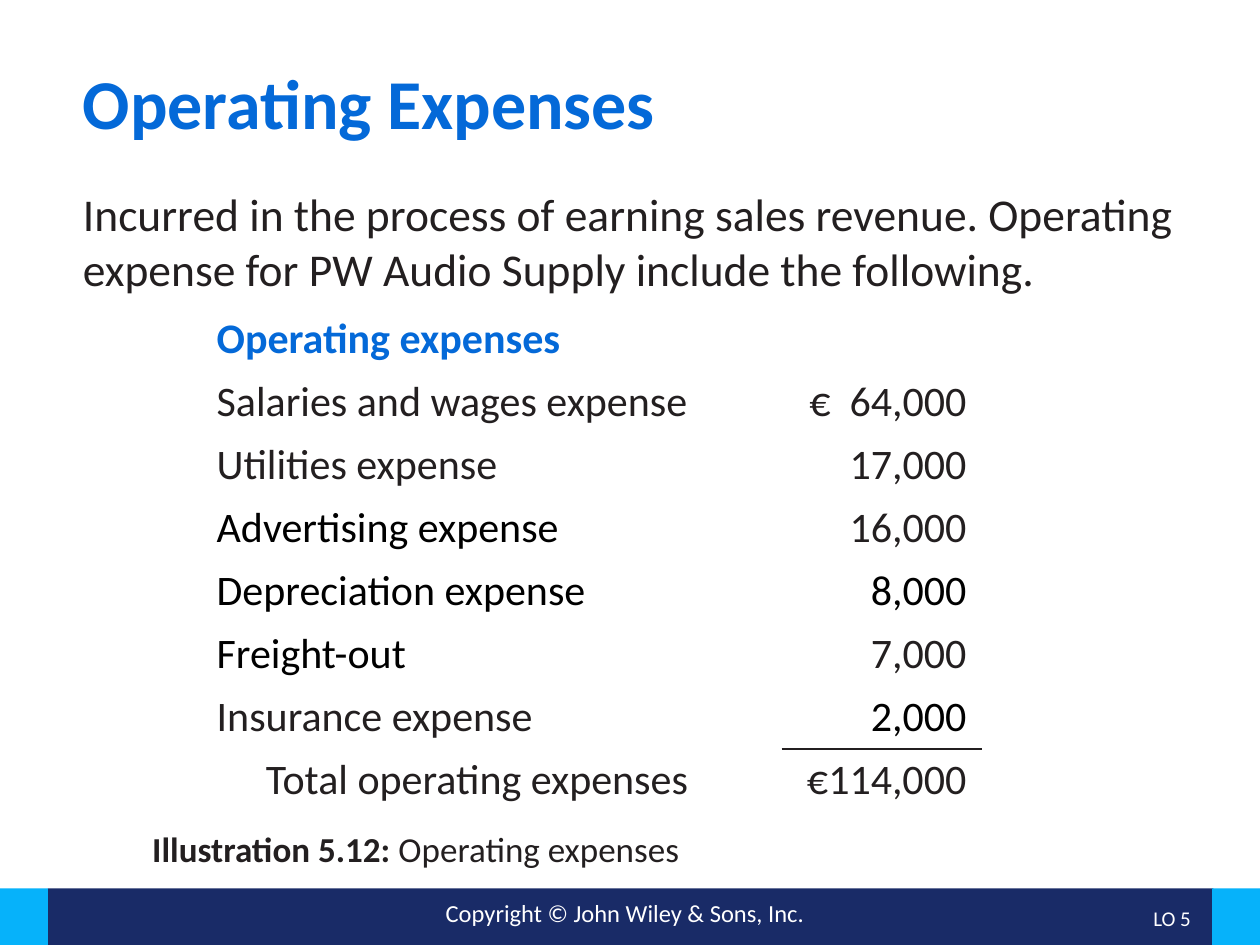
from lxml import etree
from pptx import Presentation
from pptx.dml.color import RGBColor
from pptx.enum.shapes import MSO_SHAPE
from pptx.enum.text import MSO_ANCHOR, PP_ALIGN
from pptx.oxml import parse_xml
from pptx.oxml.ns import nsdecls
from pptx.util import Inches, Pt

BLUE, NAVY, CYAN = "0469D8", "192B67", "06B2FA"
INK, BLACK, WHITE = "231F20", "000000", "FFFFFF"


def color(value):
    return RGBColor.from_string(value)


def add_run(paragraph, text, size, hex_color, bold=False):
    run = paragraph.add_run()
    run.text = text
    font_format = {"name": "Calibri", "size": Pt(size), "bold": bold}
    for name, value in font_format.items():
        setattr(run.font, name, value)
    run.font.color.rgb = color(hex_color)
    return run


presentation = Presentation()
presentation.slide_width = Inches(10)
presentation.slide_height = Inches(7.5)
slide = presentation.slides.add_slide(presentation.slide_layouts[6])

# Footer bar with a bright block at each end
for left, width, fill in [(0.38, 9.25, NAVY), (0, 0.38, CYAN), (9.62, 0.38, CYAN)]:
    shape = slide.shapes.add_shape(
        MSO_SHAPE.RECTANGLE, Inches(left), Inches(7.05), Inches(width), Inches(0.5))
    shape.shadow.inherit = False
    shape.fill.solid()
    shape.fill.fore_color.rgb = color(fill)
    shape.line.fill.background()

# Text boxes: position, alignment, anchor, line spacing, runs
LEFT, CENTER, RIGHT = PP_ALIGN.LEFT, PP_ALIGN.CENTER, PP_ALIGN.RIGHT
TOP, MIDDLE = MSO_ANCHOR.TOP, MSO_ANCHOR.MIDDLE
text_boxes = [
    ((2.5, 7.08, 4.92, 0.34), CENTER, TOP, 1.0,
     [("Copyright © John Wiley & Sons, Inc.", 14, WHITE)]),
    ((0.56, 0.5, 8.88, 0.93), LEFT, TOP, 0.9,
     [("Operating Expenses", 40, BLUE, True)]),
    ((0.56, 1.43, 8.88, 1.04), LEFT, TOP, 1.0,
     [("Incurred in the process of earning sales revenue. Operating "
       "expense for PW Audio Supply include the following.", 26, INK)]),
    ((1.11, 6.56, 4.52, 0.43), LEFT, TOP, 0.9,
     [("Illustration 5.12: ", 20, INK, True), ("Operating expenses", 20, INK)]),
    ((8.73, 7.1, 0.82, 0.4), RIGHT, MIDDLE, 0.9,
     [("LO 5", 12, WHITE)]),
]
for position, alignment, anchor, spacing, runs in text_boxes:
    text_frame = slide.shapes.add_textbox(*map(Inches, position)).text_frame
    text_frame.word_wrap = True
    text_frame.vertical_anchor = anchor
    paragraph = text_frame.paragraphs[0]
    paragraph.alignment = alignment
    paragraph.line_spacing = spacing
    for run in runs:
        add_run(paragraph, *run)

# Expense table: label, label color, amount, amount color
rows = [
    ("Operating expenses", BLUE, "", INK),
    ("Salaries and wages expense", INK, "€ 64,000", INK),
    ("Utilities expense", INK, "17,000", INK),
    ("Advertising expense", BLACK, "16,000", INK),
    ("Depreciation expense", BLACK, "8,000", BLACK),
    ("Freight-out", BLACK, "7,000", INK),
    ("Insurance expense", INK, "2,000", BLACK),
    ("Total operating expenses", INK, "€114,000", INK),
]
table = slide.shapes.add_table(
    len(rows), 2, Inches(1.6), Inches(2.44), Inches(6.19), Inches(4)).table
table.first_row = False
table.horz_banding = False
table.columns[0].width = Inches(4.61)
table.columns[1].width = Inches(1.58)

cell_format = {
    "margin_left": Inches(0.12), "margin_right": Inches(0.12),
    "margin_top": Inches(0.05), "margin_bottom": Inches(0.05),
    "vertical_anchor": MSO_ANCHOR.BOTTOM,
}
for row_index, (label, label_color, amount, amount_color) in enumerate(rows):
    columns = [(label, label_color, LEFT), (amount, amount_color, RIGHT)]
    for column_index, (text, text_color, alignment) in enumerate(columns):
        cell = table.cell(row_index, column_index)
        for name, value in cell_format.items():
            setattr(cell, name, value)
        cell.fill.background()
        paragraph = cell.text_frame.paragraphs[0]
        paragraph.alignment = alignment
        currency, space, number = text.partition("€ ")
        if space:
            # Widen the gap after the currency sign
            run = add_run(paragraph, space, 24, text_color)
            run.font._element.set("spc", "270")
            text = number
        if text:
            add_run(paragraph, text, 24, text_color, bold=row_index == 0)

# Indent the total label
total_label = table.cell(len(rows) - 1, 0).text_frame.paragraphs[0]
total_label._p.get_or_add_pPr().set("indent", str(Inches(0.39)))

# Rule between the last amount and the total
for row_index, edge in [(len(rows) - 2, "lnB"), (len(rows) - 1, "lnT")]:
    cell_properties = table.cell(row_index, 1)._tc.get_or_add_tcPr()
    border = parse_xml(f'<a:{edge} {nsdecls("a")} w="{Pt(1)}"/>')
    fill = etree.SubElement(border, border.tag.replace(edge, "solidFill"))
    etree.SubElement(fill, border.tag.replace(edge, "srgbClr"), val=INK)
    cell_properties.insert(0, border)

presentation.save("out.pptx")
